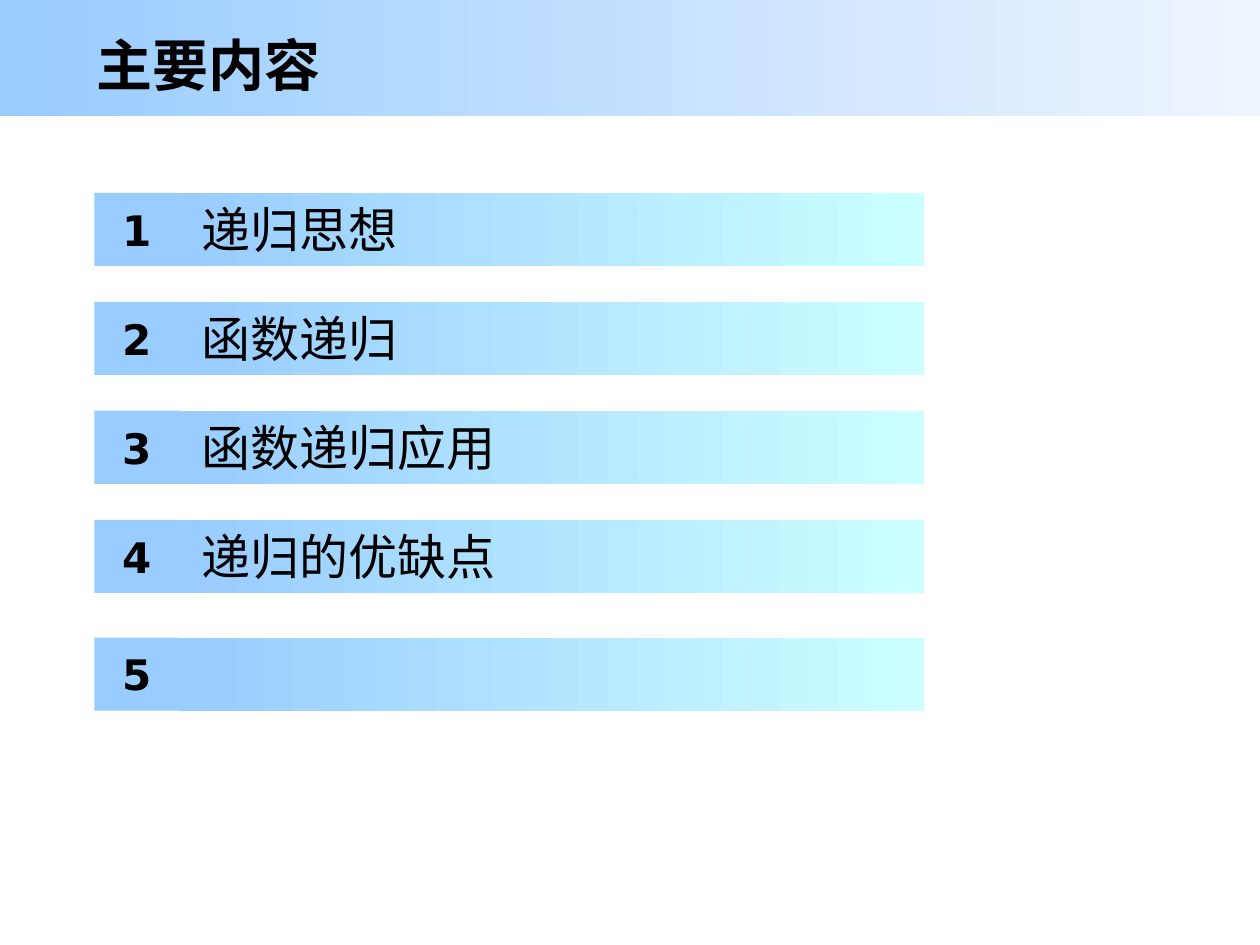
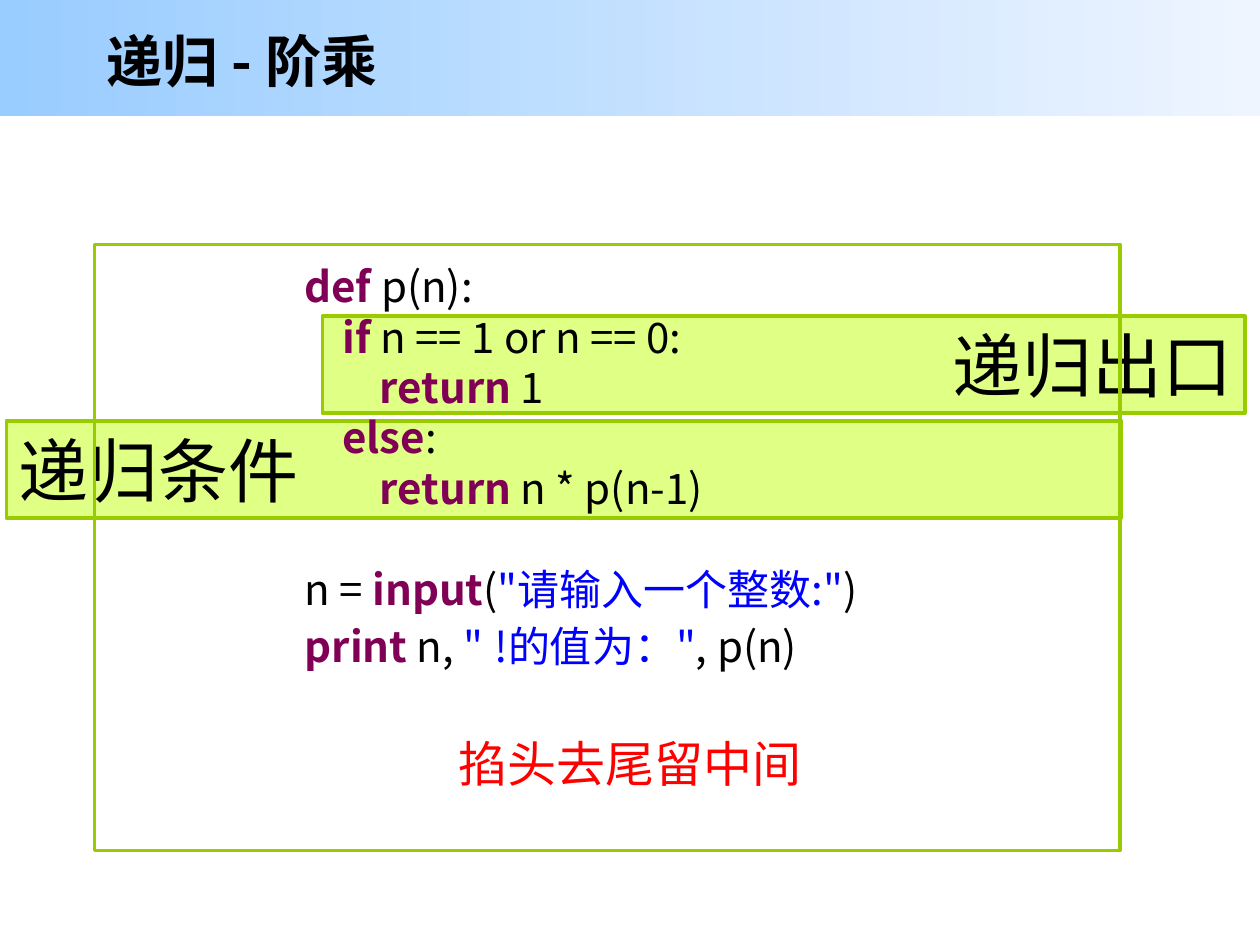
import pptx
import pptx.util
import pptx.dml.color
import pptx.enum.shapes
import pptx.enum.text
import pptx.oxml.ns
import lxml.etree
from dataclasses import dataclass

Align = pptx.enum.text.PP_ALIGN
Anchor = pptx.enum.text.MSO_ANCHOR
Pt = pptx.util.Pt
WIDE, HIGH = pptx.util.Inches(10), pptx.util.Inches(7.5)
COLS, ROWS = 100, 75


@dataclass(frozen=True)
class Theme:
    sky: str = "99CCFF"
    mist: str = "EEF5FF"
    aqua: str = "CCFFFF"
    lime: str = "E0FF85"
    green: str = "99CC00"
    ink: str = "000000"
    plum: str = "7F0055"
    blue: str = "0000FF"
    red: str = "FF0000"
    face: str = "Noto Sans CJK SC"
    digit: str = "DejaVu Sans"
    title: int = 32
    label: int = 40
    body: int = 28
    code: int = 24
    pitch: float = 1.2
    edge: int = 2


THEME = Theme()


def color(code):
    return pptx.dml.color.RGBColor.from_string(code)


def place(left, top, width, height):
    col, row = WIDE / COLS, HIGH / ROWS
    return [round(n) for n in (left * col, top * row, width * col, height * row)]


def style(run, size, ink=THEME.ink, bold=False, face=THEME.face):
    run.font.size = Pt(size)
    run.font.bold = bold
    run.font.name = face
    run.font.color.rgb = color(ink)
    east = lxml.etree.SubElement(run.font._element, pptx.oxml.ns.qn("a:ea"))
    east.set("typeface", face)


def write(shape, text, size, align=Align.LEFT, anchor=Anchor.MIDDLE, **look):
    frame = shape.text_frame
    frame.word_wrap = True
    frame.vertical_anchor = anchor
    frame.text = text
    line = frame.paragraphs[0]
    line.alignment = align
    style(line.runs[0], size, **look)


def box(slide, area, fills=(), edge=None):
    kind = pptx.enum.shapes.MSO_SHAPE.RECTANGLE
    shape = slide.shapes.add_shape(kind, *place(*area))
    shape.shadow.inherit = False
    if len(fills) == 2:
        shape.fill.gradient()
        shape.fill.gradient_angle = 0
        for stop, tone in zip(shape.fill.gradient_stops, fills):
            stop.color.rgb = color(tone)
    elif fills:
        shape.fill.solid()
        shape.fill.fore_color.rgb = color(fills[0])
    else:
        shape.fill.background()
    if edge:
        shape.line.color.rgb = color(edge)
        shape.line.width = Pt(THEME.edge)
    else:
        shape.line.fill.background()
    return shape


def note(slide, area, text, size, **look):
    write(slide.shapes.add_textbox(*place(*area)), text, size, **look)


def page(deck, title, area):
    slide = deck.slides.add_slide(deck.slide_layouts[6])
    box(slide, (0, 0, COLS, 9.2), (THEME.sky, THEME.mist))
    note(slide, area, title, THEME.title, bold=True)
    return slide


def topic(slide, top, number, text):
    bar = box(slide, (14.1, top, 59.2, 5.8), (THEME.sky, THEME.aqua))
    if text:
        write(bar, text, THEME.body)
        bar.text_frame.margin_left = place(1.9, 0, 0, 0)[0]
    tile = box(slide, (7.5, top, 6.7, 5.8), (THEME.sky,))
    write(tile, str(number), THEME.code, Align.CENTER, bold=True, face=THEME.digit)


def label(slide, area, text, align):
    write(box(slide, area, (THEME.lime,), THEME.green), text, THEME.label, align)


def code(slide, area, lines, gap):
    frame = slide.shapes.add_textbox(*place(*area)).text_frame
    frame.word_wrap = True
    inks = {"key": THEME.plum, "str": THEME.blue}
    for index, parts in enumerate(lines):
        line = frame.add_paragraph() if index else frame.paragraphs[0]
        tall = THEME.code
        for text, kind in parts:
            run = line.add_run()
            run.text = text
            size = THEME.body if kind == "wide" else THEME.code
            tall = max(tall, size)
            style(run, size, inks.get(kind, THEME.ink), kind == "key")
        line.line_spacing = Pt(tall * THEME.pitch)
        if index == gap:
            line.space_before = Pt(THEME.code * THEME.pitch)


def agenda(deck):
    slide = page(deck, "主要内容", (6.7, 1.7, 90, 6.7))
    names = ["递归思想", "函数递归", "函数递归应用", "递归的优缺点", ""]
    tops = [15.3 + 8.65 * step for step in range(4)] + [50.6]
    for number, (top, name) in enumerate(zip(tops, names), 1):
        topic(slide, top, number, name)


def recursion(deck):
    slide = page(deck, "递归 - 阶乘", (7.5, 1.4, 81.4, 6.7))
    label(slide, (0.5, 33.4, 88.5, 7.7), "递归条件", Align.LEFT)
    label(slide, (25.6, 25.1, 73.2, 7.7), "递归出口", Align.RIGHT)
    lines = [
        [("def ", "key"), ("p(n):", "")],
        [("    ", ""), ("if ", "key"), ("n == 1 or n == 0:", "")],
        [("        ", ""), ("return ", "key"), ("1", "")],
        [("    ", ""), ("else", "key"), (":", "")],
        [("        ", ""), ("return ", "key"), ("n * p(n-1)", "")],
        [("n = ", ""), ("input", "key"), ("(", ""), ('"请输入一个整数:"', "str"), (")", "")],
        [("print ", "key"), ("n, ", ""), ('"', "str"), (" ", "wide"),
         ('!的值为："', "str"), (", p(n)", "")],
    ]
    code(slide, (23.2, 20.2, 50, 34.7), lines, gap=5)
    box(slide, (7.5, 19.4, 81.4, 48.1), edge=THEME.green)
    note(slide, (29.9, 57.7, 40.2, 5.7), "掐头去尾留中间", THEME.body,
         align=Align.CENTER, anchor=Anchor.TOP, ink=THEME.red)


def main():
    deck = pptx.Presentation()
    deck.slide_width, deck.slide_height = WIDE, HIGH
    agenda(deck)
    recursion(deck)
    deck.save("out.pptx")


if __name__ == "__main__":
    main()
